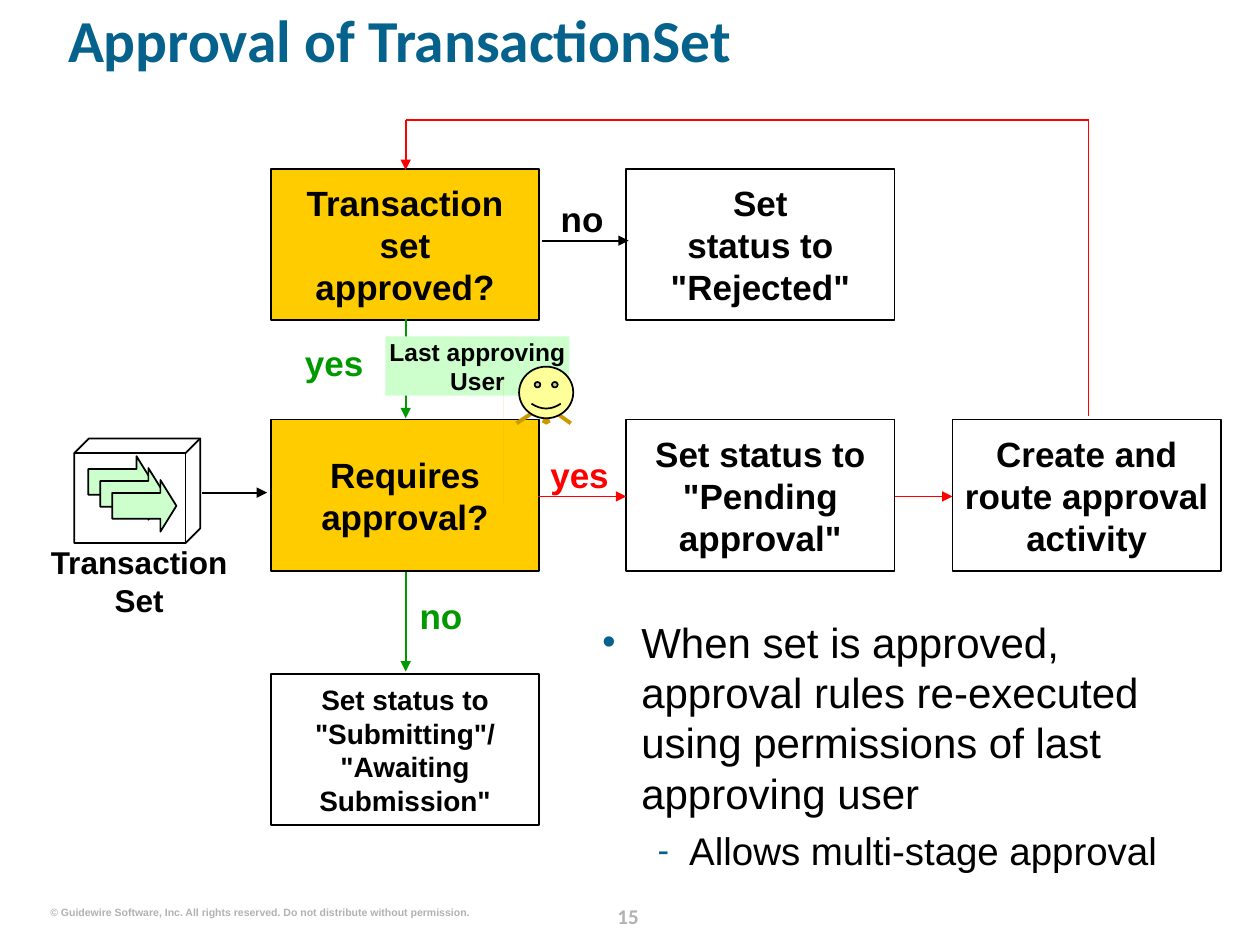
from dataclasses import dataclass

from lxml import etree
from pptx import Presentation
from pptx.dml.color import RGBColor
from pptx.enum.shapes import MSO_CONNECTOR, MSO_SHAPE
from pptx.enum.text import MSO_ANCHOR, PP_ALIGN
from pptx.oxml.ns import qn
from pptx.util import Inches, Pt

LEFT, CENTER = PP_ALIGN.LEFT, PP_ALIGN.CENTER
TOP, MIDDLE = MSO_ANCHOR.TOP, MSO_ANCHOR.MIDDLE
RECTANGLE, CUBE, ARROW = MSO_SHAPE.RECTANGLE, MSO_SHAPE.CUBE, MSO_SHAPE.RIGHT_ARROW
FACE, PENTAGON = MSO_SHAPE.SMILEY_FACE, MSO_SHAPE.REGULAR_PENTAGON
STRAIGHT = MSO_CONNECTOR.STRAIGHT


@dataclass(frozen=True)
class Theme:
    """Colours, fonts and type sizes of the slide."""
    black: str = "000000"
    blue: str = "04628C"
    red: str = "FF0000"
    green: str = "009900"
    gray: str = "B2B2B2"
    amber: str = "FFCC00"
    mint: str = "CCFFCC"
    skin: str = "FFFF99"
    tan: str = "CC9900"
    body_font: str = "Arial"
    title_font: str = "Calibri"
    title: int = 34
    bullet: int = 24
    sub_bullet: int = 22
    step: int = 20
    caption: int = 18
    small_step: int = 16
    note: int = 14
    page: int = 12
    footer: int = 6


THEME = Theme()


def style_text(paragraph, size, color=THEME.black, bold=True, font=THEME.body_font):
    """Set the font of a whole paragraph."""
    paragraph.font.name = font
    paragraph.font.size = Pt(size)
    paragraph.font.bold = bold
    paragraph.font.color.rgb = RGBColor.from_string(color)


def prepare_frame(frame, anchor=TOP, inset=0.0, wrap=True):
    """Set the margins, wrapping and anchor of a text frame."""
    frame.margin_left = frame.margin_right = Inches(inset)
    frame.margin_top = frame.margin_bottom = 0
    frame.word_wrap = wrap
    frame.vertical_anchor = anchor


def add_text(slide, box, text, size, color=THEME.black, align=CENTER,
             font=THEME.body_font, wrap=True):
    """Add a bold one-paragraph text box."""
    frame = slide.shapes.add_textbox(*map(Inches, box)).text_frame
    prepare_frame(frame, wrap=wrap)
    paragraph = frame.paragraphs[0]
    paragraph.text = text
    paragraph.alignment = align
    style_text(paragraph, size, color, font=font)


def paint(shape, fill=None, line=None):
    """Set the fill and outline of a shape and remove its shadow."""
    shape.shadow.inherit = False
    if fill:
        shape.fill.solid()
        shape.fill.fore_color.rgb = RGBColor.from_string(fill)
    else:
        shape.fill.background()
    if line:
        shape.line.color.rgb = RGBColor.from_string(line)
        shape.line.width = Pt(1)
    else:
        shape.line.fill.background()


def add_figure(slide, kind, box, fill=None, line=THEME.black, adjustments=()):
    """Add a painted preset shape."""
    shape = slide.shapes.add_shape(kind, *map(Inches, box))
    for index, value in enumerate(adjustments):
        shape.adjustments[index] = value
    paint(shape, fill, line)
    return shape


def add_step(slide, box, text, fill=None, size=THEME.step, inset=0.15, line=THEME.black):
    """Add a rectangle with centred bold text."""
    shape = add_figure(slide, RECTANGLE, box, fill, line)
    prepare_frame(shape.text_frame, MIDDLE, inset)
    paragraph = shape.text_frame.paragraphs[0]
    paragraph.text = text
    paragraph.alignment = CENTER
    style_text(paragraph, size)


def add_line(slide, start, end, color, arrow=True, width=1):
    """Add a straight connector, with an arrowhead at its end if asked."""
    points = map(Inches, (*start, *end))
    connector = slide.shapes.add_connector(STRAIGHT, *points)
    connector.line.color.rgb = RGBColor.from_string(color)
    connector.line.width = Pt(width)
    if arrow:
        line = connector.line._get_or_add_ln()
        etree.SubElement(line, qn("a:tailEnd"), type="triangle")
    etree.SubElement(connector._element.spPr, qn("a:effectLst"))


def add_bullet(paragraph, text, symbol, size, margin, indent, level=0):
    """Fill a paragraph as a bullet with a blue symbol."""
    paragraph.text = text
    paragraph.level = level
    properties = paragraph._p.get_or_add_pPr()
    properties.set("marL", str(Inches(margin)))
    properties.set("indent", str(Inches(indent)))
    color = etree.SubElement(properties, qn("a:buClr"))
    etree.SubElement(color, qn("a:srgbClr"), val=THEME.blue)
    etree.SubElement(properties, qn("a:buSzPct"), val="90000")
    etree.SubElement(properties, qn("a:buFont"), typeface=THEME.body_font)
    etree.SubElement(properties, qn("a:buChar"), char=symbol)
    style_text(paragraph, size, bold=False)


def add_title(slide, text):
    """Place and format the title placeholder."""
    title = slide.shapes.title
    title.left, title.top, title.width, title.height = map(Inches, (0.54, 0.13, 9.1, 0.81))
    prepare_frame(title.text_frame)
    paragraph = title.text_frame.paragraphs[0]
    paragraph.text = text
    paragraph.alignment = LEFT
    paragraph.line_spacing = 0.8
    style_text(paragraph, THEME.title, THEME.blue, font=THEME.title_font)


def add_remarks(slide):
    """Add the bulleted remarks beside the flow."""
    frame = slide.shapes.add_textbox(*map(Inches, (4.78, 4.89, 4.92, 2.11))).text_frame
    prepare_frame(frame)
    add_bullet(frame.paragraphs[0], "When set is approved, approval rules re-executed "
               "using permissions of last approving user", "•", THEME.bullet, 0.31, -0.31)
    detail = frame.add_paragraph()
    add_bullet(detail, "Allows multi-stage approval", "-", THEME.sub_bullet, 0.69, -0.25, 1)
    detail.space_before = Pt(5.5)


def add_transaction_set(slide):
    """Add the cube that holds three stacked arrows, with its caption."""
    for index in range(3):
        offset = 0.095 * index
        add_figure(slide, ARROW, (0.7 + offset, 3.62 + offset, 0.51, 0.41),
                   THEME.mint, adjustments=(0.5, 0.31))
    add_figure(slide, CUBE, (0.59, 3.48, 1, 0.83), adjustments=(0.14,))
    add_text(slide, (0.37, 4.31, 1.47, 0.6), "Transaction\nSet", THEME.caption)


def add_user(slide):
    """Add the last approving user: a note, a face and a tie."""
    add_step(slide, (3.06, 2.67, 1.46, 0.47), "Last approving User", THEME.mint,
             THEME.note, inset=0, line=None)
    for start, end in ((4.39, 4.53), (4.25, 4.1)):
        add_line(slide, (start, 3.26), (end, 3.36), THEME.tan, arrow=False, width=2.25)
    knot = add_figure(slide, PENTAGON, (4.3, 3.32, 0.07, 0.05), THEME.tan, None)
    knot.rotation = 180
    builder = slide.shapes.build_freeform(4.32, 3.36, scale=Inches(1))
    builder.add_line_segments([(4.29, 3.46), (4.33, 3.5), (4.37, 3.46), (4.34, 3.35)])
    paint(builder.convert_to_shape(), THEME.tan)
    add_figure(slide, FACE, (4.12, 2.91, 0.43, 0.41), THEME.skin, adjustments=(0.09,))


def add_flow(slide):
    """Add the steps, arrows and answers of the approval flow."""
    width, height = 2.13, 1.2
    columns, rows = (2.15, 4.97, 7.56), (1.34, 3.33, 5.35)
    steps = (
        (0, 0, "Transaction set approved?", THEME.amber, THEME.step, 0.15),
        (1, 0, "Set\nstatus to \"Rejected\"", None, THEME.step, 0.15),
        (0, 1, "Requires approval?", THEME.amber, THEME.step, 0.15),
        (1, 1, "Set status to \"Pending approval\"", None, THEME.step, 0.15),
        (2, 1, "Create and route approval activity", None, THEME.step, 0.04),
        (0, 2, "Set status to \"Submitting\"/\n\"Awaiting Submission\"", None,
         THEME.small_step, 0.12),
    )
    for column, row, text, fill, size, inset in steps:
        add_step(slide, (columns[column], rows[row], width, height), text, fill, size, inset)
    middle, back, top = 3.22, 8.64, 0.95
    for start, end, color, arrow in (
        ((1.6, 3.91), (2.12, 3.91), THEME.black, True),
        ((4.3, 1.91), (4.99, 1.91), THEME.black, True),
        ((4.27, 3.94), (4.97, 3.94), THEME.red, True),
        ((7.1, 3.94), (7.56, 3.94), THEME.red, True),
        ((middle, 2.53), (middle, 3.32), THEME.green, True),
        ((middle, 4.54), (middle, 5.33), THEME.green, True),
        ((back, 3.3), (back, top), THEME.red, False),
        ((back, top), (middle, top), THEME.red, False),
        ((middle, top), (middle, 1.35), THEME.red, True),
    ):
        add_line(slide, start, end, color, arrow)
    for box, text, color, align in (
        ((4.29, 1.57, 0.66, 0.33), "no", THEME.black, CENTER),
        ((4.27, 3.6, 0.66, 0.33), "yes", THEME.red, CENTER),
        ((2.42, 2.71, 0.54, 0.33), "yes", THEME.green, LEFT),
        ((3.33, 4.72, 0.41, 0.33), "no", THEME.green, LEFT),
    ):
        add_text(slide, box, text, THEME.step, color, align)


def main():
    """Build the slide and save it."""
    presentation = Presentation()
    presentation.slide_width, presentation.slide_height = Inches(10), Inches(7.5)
    slide = presentation.slides.add_slide(presentation.slide_layouts[5])
    add_title(slide, "Approval of TransactionSet")
    add_text(slide, (4.7, 7.17, 0.57, 0.25), "15", THEME.page, THEME.gray,
             font=THEME.title_font)
    add_text(slide, (0.4, 7.19, 3.33, 0.1), "© Guidewire Software, Inc. All rights reserved. "
             "Do not distribute without permission.", THEME.footer, THEME.gray, LEFT, wrap=False)
    add_remarks(slide)
    add_transaction_set(slide)
    add_flow(slide)
    add_user(slide)
    presentation.save("out.pptx")


if __name__ == "__main__":
    main()
